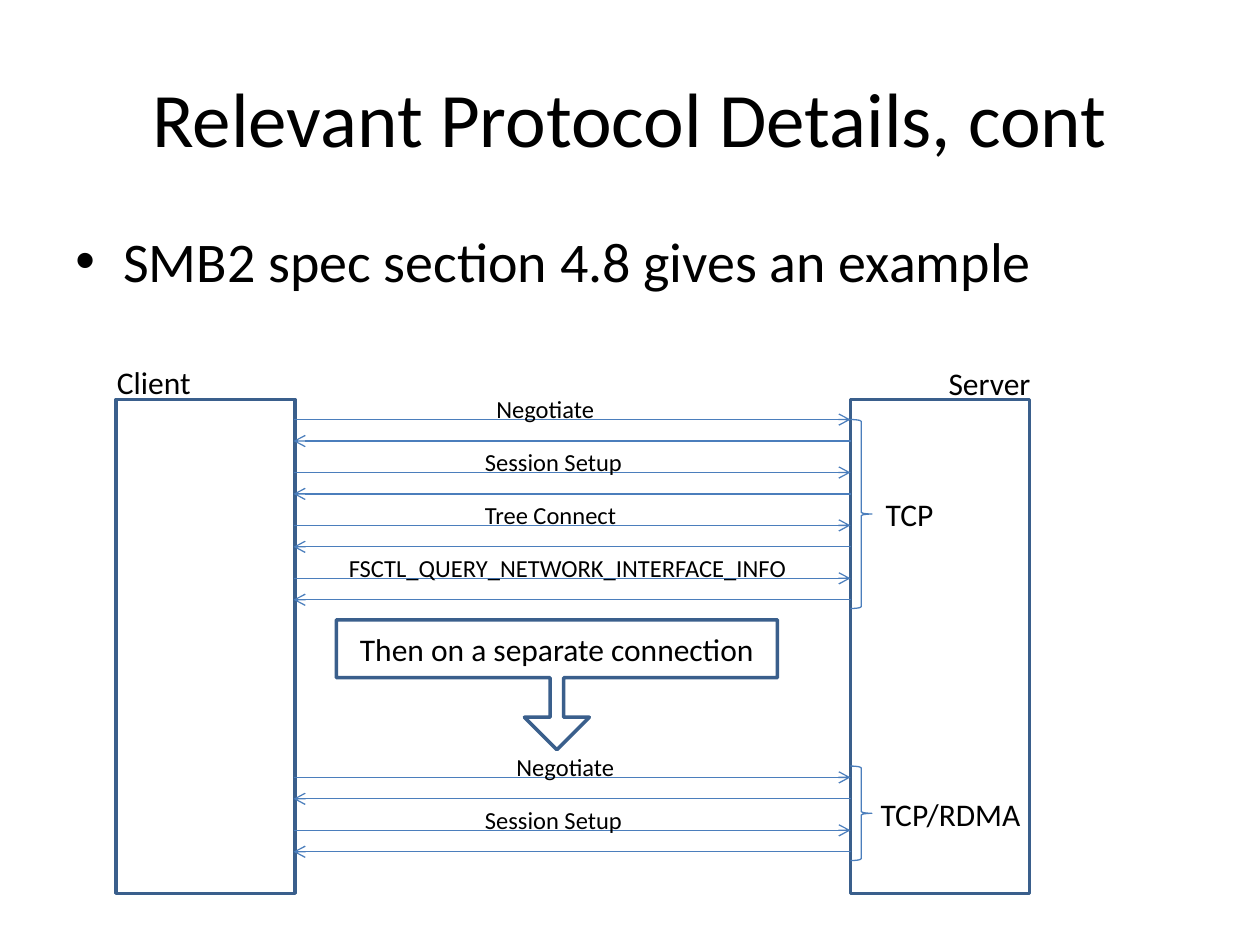
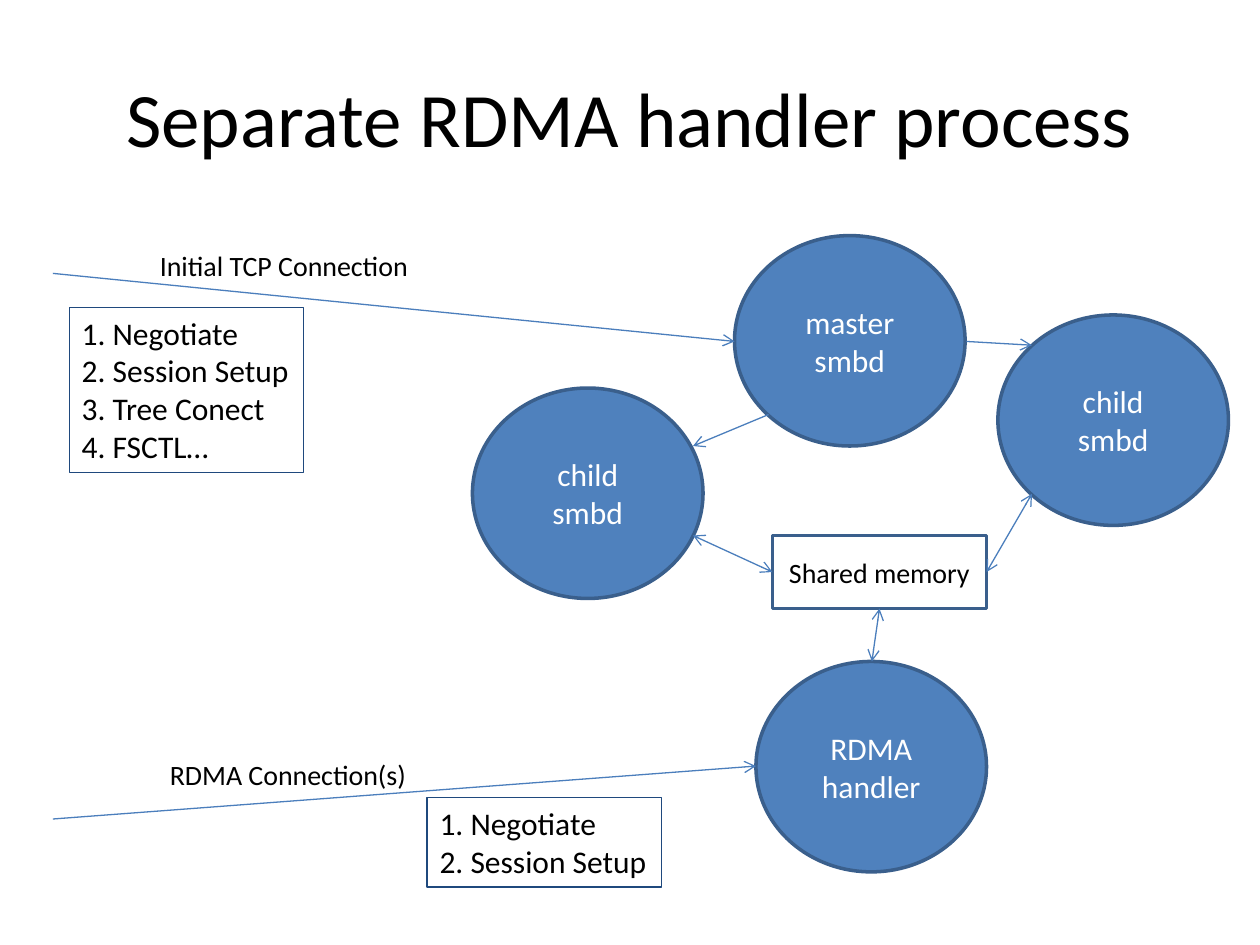
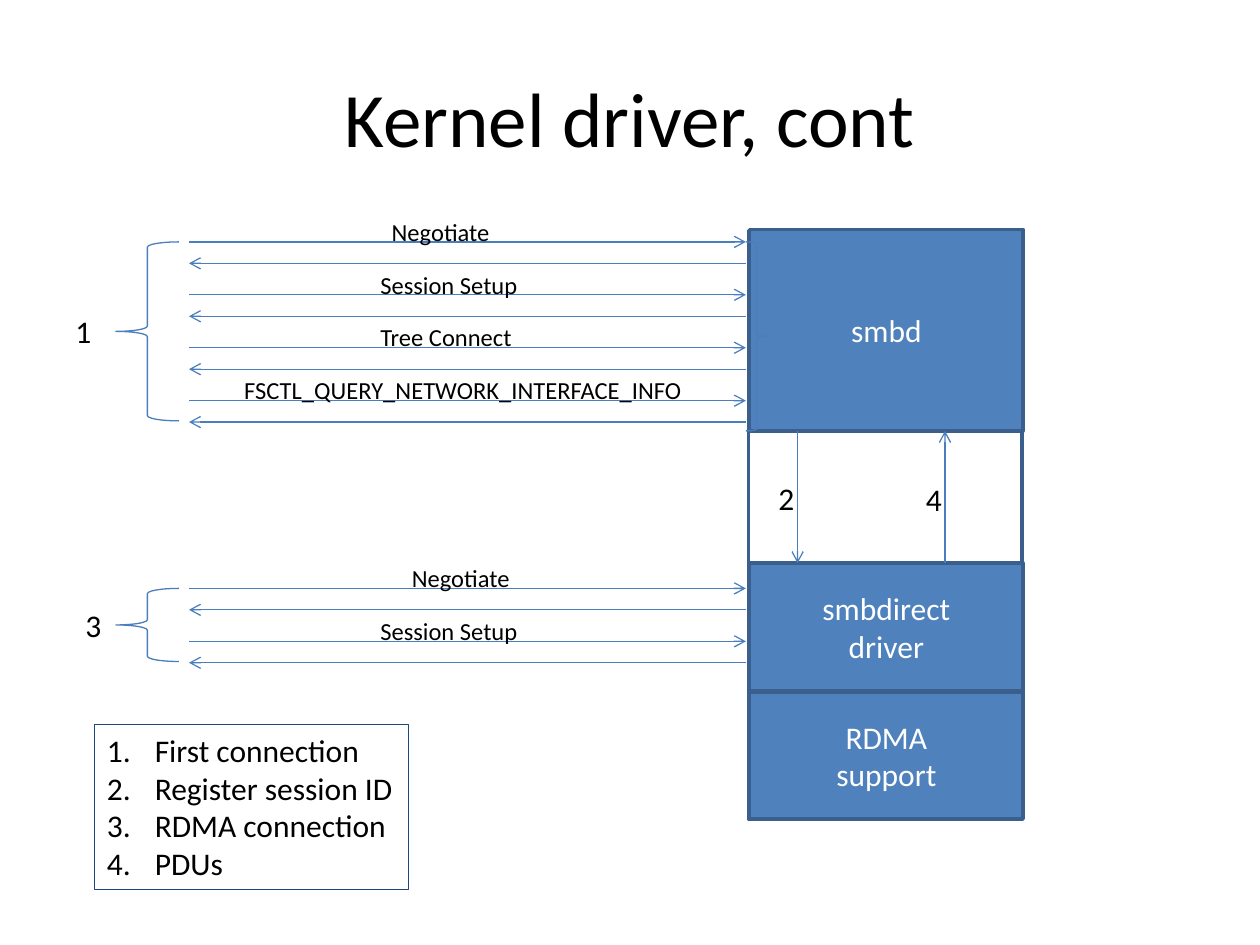
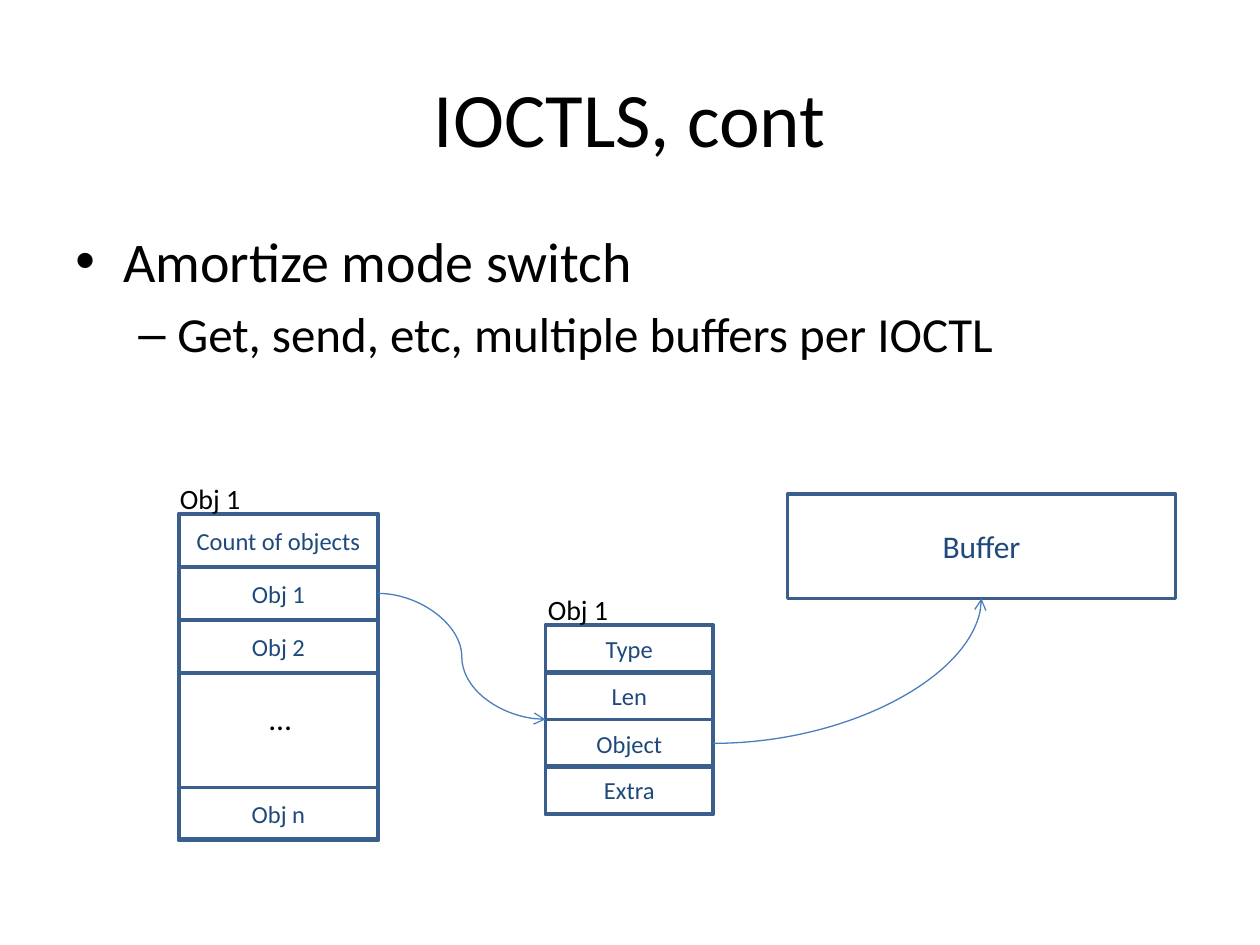
from lxml import etree
from pptx import Presentation
from pptx import util as u
from pptx.dml.color import RGBColor
from pptx.enum import shapes, text
from pptx.oxml.ns import qn


class Theme:
    font = "Calibri"
    black, white, navy, blue = "000000", "FFFFFF", "1F497D", "4F81BD"
    thick, thin, frame = ("3A5F8C", 2), ("4B7EBC", 0.75), ("1F497D", 0.75)
    title, body, sub, note, label, small = 44, 32, 28, 18, 16, 14


RECT, OVAL = shapes.MSO_SHAPE.RECTANGLE, shapes.MSO_SHAPE.OVAL
CURVE = shapes.MSO_CONNECTOR.CURVE


def put(page, kind, x, y, w, h, words="", size=Theme.note, ink=Theme.black,
        fill=None, edge=None):
    """Add a preset shape, or a text box when kind is None; each line is a paragraph."""
    area = [u.Inches(n) for n in (x, y, w, h)]
    if kind is None:
        item = page.shapes.add_textbox(*area)
        item.text_frame.auto_size = text.MSO_AUTO_SIZE.SHAPE_TO_FIT_TEXT
    else:
        item = page.shapes.add_shape(kind, *area)
        item.shadow.inherit = False
    if fill:
        item.fill.solid()
        item.fill.fore_color.rgb = RGBColor.from_string(fill)
    else:
        item.fill.background()
    if edge:
        item.line.color.rgb = RGBColor.from_string(edge[0])
        item.line.width = u.Pt(edge[1])
    else:
        item.line.fill.background()
    if words:
        frame = item.text_frame
        frame.text = words
        frame.word_wrap = kind is not None
        for para in frame.paragraphs:
            para.alignment = text.PP_ALIGN.CENTER if kind else text.PP_ALIGN.LEFT
            for run in para.runs:
                run.font.name, run.font.size = Theme.font, u.Pt(size)
                run.font.color.rgb = RGBColor.from_string(ink)
    return item


def wire(page, x1, y1, x2, y2, ends=("tail",), kind=shapes.MSO_CONNECTOR.STRAIGHT):
    """Add a thin connector with an open arrow at each of the named ends."""
    line = page.shapes.add_connector(kind, *[u.Inches(n) for n in (x1, y1, x2, y2)])
    line.line.color.rgb = RGBColor.from_string(Theme.thin[0])
    line.line.width = u.Pt(Theme.thin[1])
    props = line._element.spPr
    for end in ends:
        etree.SubElement(props.find(qn("a:ln")), qn(f"a:{end}End"), type="arrow")
    etree.SubElement(props, qn("a:effectLst"))
    return line


deck = Presentation()
deck.slide_width, deck.slide_height = u.Inches(10), u.Inches(7.5)

# Titles
pages = []
for name in ("Relevant Protocol Details, cont", "Separate RDMA handler process",
             "Kernel driver, cont", "IOCTLS, cont"):
    page = deck.slides.add_slide(deck.slide_layouts[6])
    head = put(page, None, 0.5, 0.3, 9, 1.25, name, Theme.title)
    head.text_frame.auto_size = text.MSO_AUTO_SIZE.NONE
    head.text_frame.word_wrap = True
    head.text_frame.vertical_anchor = text.MSO_ANCHOR.MIDDLE
    head.text_frame.paragraphs[0].alignment = text.PP_ALIGN.CENTER
    pages.append(page)
spec, split, driver, ioctl = pages

# Bulleted bodies and the numbered key
goal = put(spec, None, 0.5, 1.75, 9, 0.83, "SMB2 spec section 4.8 gives an example", Theme.body)
plan = put(ioctl, None, 0.5, 1.75, 9, 1.42,
           "Amortize mode switch\nGet, send, etc, multiple buffers per IOCTL", Theme.body)
key = put(driver, None, 0.75, 5.75, 2.49, 1.31,
          "First connection\nRegister session ID\nRDMA connection\nPDUs", edge=Theme.frame)
for item in (goal, plan):
    item.text_frame.auto_size = text.MSO_AUTO_SIZE.NONE
    item.text_frame.word_wrap = True
for item in (goal, plan, key):
    for level, para in enumerate(item.text_frame.paragraphs):
        props = para._p.get_or_add_pPr()
        left, hang, mark = 0.38, 0.38, "•"
        if item is plan and level:
            left, hang, mark = 0.81, 0.31, "–"
            para.level = 1
            para.runs[0].font.size = u.Pt(Theme.sub)
        props.set("marL", str(u.Inches(left)))
        props.set("indent", str(-u.Inches(hang)))
        if item is key:
            etree.SubElement(props, qn("a:buAutoNum"), type="arabicPeriod")
        else:
            gap = etree.SubElement(props, qn("a:spcBef"))
            etree.SubElement(gap, qn("a:spcPct"), val="20000")
            etree.SubElement(props, qn("a:buFont"), typeface="Arial")
            etree.SubElement(props, qn("a:buChar"), char=mark)

# Hosts of the protocol example and layers of the kernel driver
for x in (0.92, 6.75):
    put(spec, RECT, x, 3.17, 1.42, 3.92, edge=Theme.thick)
put(driver, RECT, 5.94, 1.83, 2.17, 4.67, edge=Theme.thick)
for y, h, words in ((1.82, 1.6, "smbd"), (4.47, 1.01, "smbdirect\ndriver"),
                    (5.49, 1.01, "RDMA\nsupport")):
    put(driver, RECT, 5.95, y, 2.17, h, words, ink=Theme.white,
        fill=Theme.blue, edge=Theme.thick)

# Message exchanges: a call with its label, then the reply
span, step, back = 4.42, 0.42, 0.17
setup = ("Session Setup", 1.42, 1.3)
first = (("Negotiate", 1.51, 0.99), setup, ("Tree Connect", 1.42, 1.25),
         ("FSCTL_QUERY_NETWORK_INTERFACE_INFO", 0.34, 3.7))
second = (("Negotiate", 1.67, 0.99), setup)
for page, left, top, calls in ((spec, 2.33, 3.33, first), (spec, 2.33, 6.17, second),
                               (driver, 1.5, 1.92, first), (driver, 1.5, 4.67, second)):
    for row, (words, shift, wide) in enumerate(calls):
        y = top + row * step
        wire(page, left, y, left + span, y)
        put(page, None, left + shift, y - 0.25, wide, 0.34, words, Theme.small)
        wire(page, left, y + back, left + span, y + back, ("head",))

# Braces
RIGHT, LEFT = shapes.MSO_SHAPE.RIGHT_BRACE, shapes.MSO_SHAPE.LEFT_BRACE
for page, kind, x, y, w, h in (
        (spec, RIGHT, 6.75, 3.33, 0.17, 1.5), (spec, RIGHT, 6.75, 6.08, 0.17, 0.75),
        (driver, RIGHT, 5.92, 1.92, 0.17, 1.5),
        (driver, LEFT, 0.92, 1.92, 0.5, 1.42), (driver, LEFT, 0.92, 4.67, 0.5, 0.58)):
    put(page, kind, x, y, w, h, edge=Theme.thin)

# Free labels
for page, x, y, w, words, size in (
        (spec, 0.83, 2.83, 0.79, "Client", Theme.note),
        (spec, 7.43, 2.84, 0.86, "Server", Theme.note),
        (spec, 6.93, 3.88, 0.58, "TCP", Theme.note),
        (spec, 6.89, 6.26, 1.32, "TCP/RDMA", Theme.note),
        (split, 1.17, 1.92, 2.19, "Initial TCP Connection", Theme.label),
        (split, 1.25, 5.96, 2.1, "RDMA Connection(s)", Theme.label),
        (driver, 0.5, 2.43, 0.33, "1", Theme.note),
        (driver, 6.08, 3.75, 0.33, "2", Theme.note),
        (driver, 0.58, 4.76, 0.33, "3", Theme.note),
        (driver, 7.25, 3.76, 0.33, "4", Theme.note)):
    put(page, None, x, y, w, 0.4 if size == Theme.note else 0.37, words, size)

# Step between the two connections
then = put(spec, shapes.MSO_SHAPE.DOWN_ARROW_CALLOUT, 2.67, 4.92, 3.5, 1.03,
           "Then on a separate connection", edge=Theme.thick)
for spot, ratio in enumerate((0.105, 0.25, 0.25, 0.446)):
    then.adjustments[spot] = ratio

# Driver and daemon hand-over
wire(driver, 6.33, 3.42, 6.33, 4.47)
wire(driver, 7.5, 4.47, 7.5, 3.42)

# Processes around the shared memory
for x, y, words in ((5.83, 1.87, "master\nsmbd"), (3.75, 3.08, "child\nsmbd"),
                    (7.92, 2.5, "child\nsmbd"), (6, 5.25, "RDMA handler")):
    put(split, OVAL, x, y, 1.83, 1.67, words, ink=Theme.white,
        fill=Theme.blue, edge=Theme.thick)
store = put(split, RECT, 6.13, 4.25, 1.7, 0.58, "Shared memory", Theme.label,
            edge=Theme.thick)
for ends in ((0.42, 2.17, 5.83, 2.71), (0.42, 6.5, 6, 6.08),
             (6.1, 3.29, 5.5, 3.54), (7.67, 2.71, 8.19, 2.74)):
    wire(split, *ends)
for side, x1, y1, x2, y2 in ((1, 6.13, 4.54, 5.5, 4.25), (2, 6.98, 4.83, 6.92, 5.25),
                             (3, 7.83, 4.54, 8.19, 3.92)):
    wire(split, x1, y1, x2, y2, ("head", "tail")).begin_connect(store, side)
put(split, None, 0.55, 2.44, 1.86, 1.31,
    "1. Negotiate\n2. Session Setup\n3. Tree Conect\n4. FSCTL…", edge=Theme.frame)
put(split, None, 3.39, 6.33, 1.86, 0.71, "1. Negotiate\n2. Session Setup", edge=Theme.frame)

# Object list, object record and buffer
put(ioctl, RECT, 1.42, 4.08, 1.58, 2.58, edge=Theme.thick)
record = put(ioctl, RECT, 4.33, 4.96, 1.33, 1.5, edge=Theme.thick)
buffer = put(ioctl, RECT, 6.25, 3.92, 3.08, 0.83, "Buffer", ink=Theme.navy, edge=Theme.thick)
cells = {}
for x, w, h, rows in (
        (1.42, 1.58, 0.42, ((4.08, "Count of objects"), (4.5, "Obj 1"),
                            (4.92, "Obj 2"), (6.25, "Obj n"))),
        (4.33, 1.33, 0.38, ((4.96, "Type"), (5.33, "Len"), (5.71, "Object"),
                            (6.08, "Extra")))):
    for y, words in rows:
        cells[words] = put(ioctl, RECT, x, y, w, h, words, Theme.small,
                           Theme.navy, edge=Theme.thick)
put(ioctl, None, 2.04, 5.5, 0.38, 0.4, "…")
for x, y in ((1.33, 3.77), (4.25, 4.65)):
    put(ioctl, None, x, y, 0.83, 0.37, "Obj 1", Theme.label)
link = wire(ioctl, 3, 4.71, 4.33, 5.71, kind=CURVE)
link.begin_connect(cells["Obj 1"], 3)
link.end_connect(record, 1)
bend = wire(ioctl, 5.67, 5.9, 7.79, 4.75, kind=CURVE)
bend.begin_connect(cells["Object"], 3)
bend.end_connect(buffer, 2)
bend._element.spPr.find(qn("a:prstGeom")).set("prst", "curvedConnector2")

deck.save("out.pptx")
